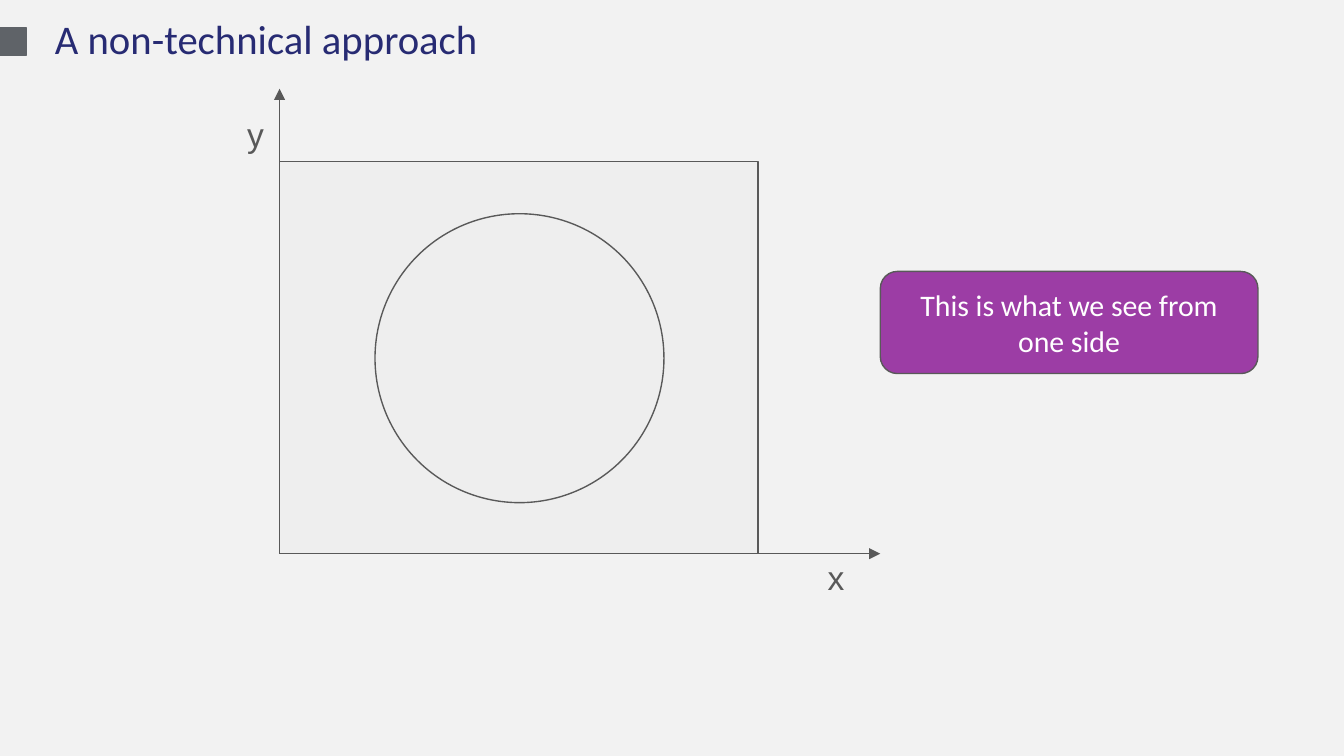
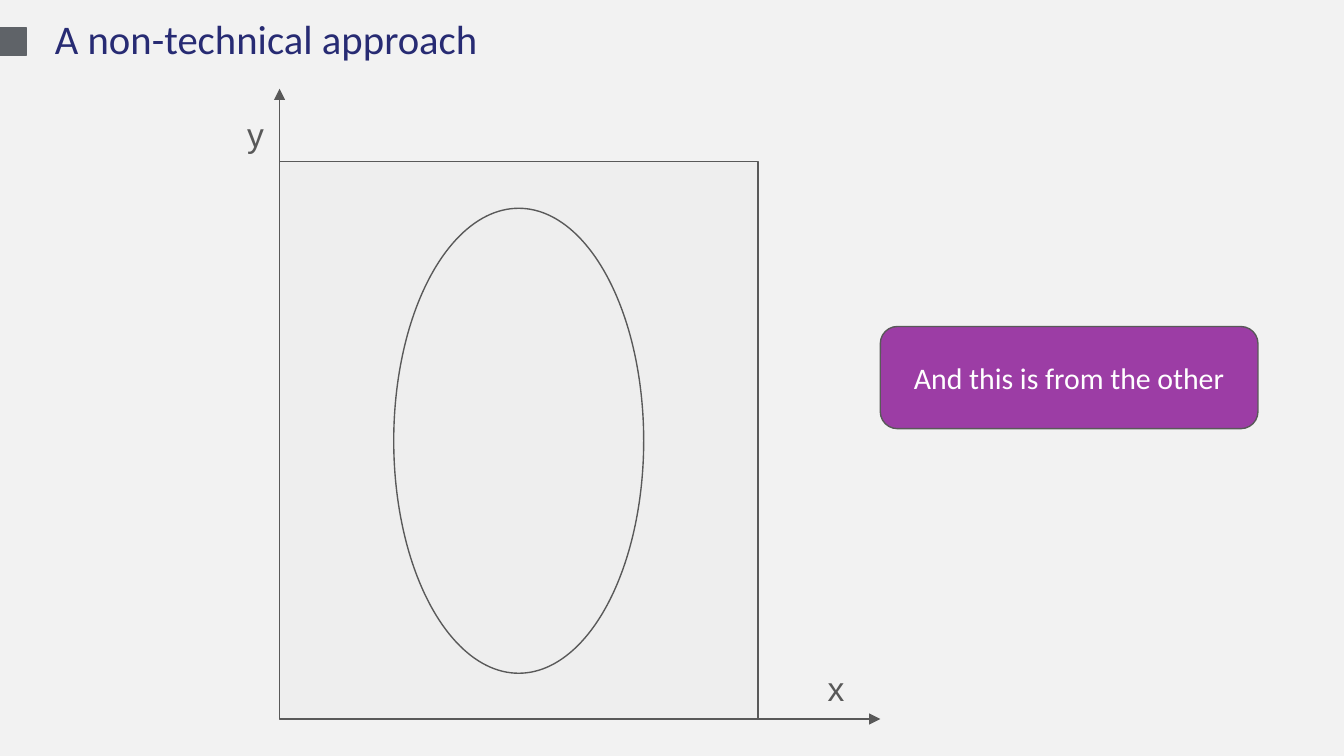
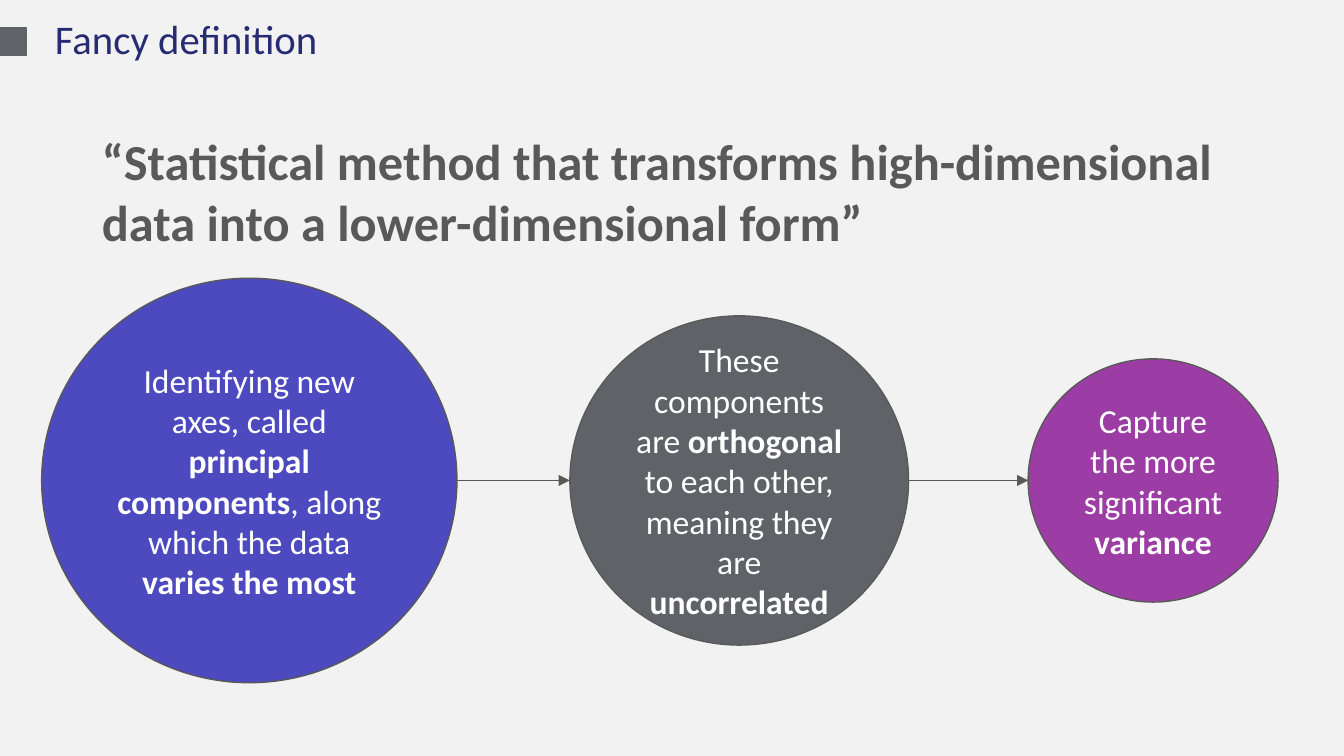
import pptx
import pptx.util
import pptx.dml.color
import pptx.enum.shapes
import pptx.enum.text
import pptx.oxml.ns
from lxml import etree

Inches = pptx.util.Inches
RGBColor = pptx.dml.color.RGBColor
SHAPE = pptx.enum.shapes.MSO_SHAPE
ANCHOR = pptx.enum.text.MSO_ANCHOR
ALIGN = pptx.enum.text.PP_ALIGN
qn = pptx.oxml.ns.qn

# Colours
BACKGROUND = RGBColor(0xF2, 0xF2, 0xF2)
PANEL = RGBColor(0xEE, 0xEE, 0xEE)
INK = RGBColor(0x59, 0x59, 0x59)
SLATE = RGBColor(0x5F, 0x63, 0x68)
NAVY = RGBColor(0x27, 0x2B, 0x73)
INDIGO = RGBColor(0x4D, 0x49, 0xBF)
PURPLE = RGBColor(0x9C, 0x3D, 0xA5)
WHITE = RGBColor(0xFF, 0xFF, 0xFF)

# Text formats
TITLE = {"name": "Calibri", "size": pptx.util.Pt(21.8), "bold": False}
AXIS_LABEL = {"name": "Arial", "size": pptx.util.Pt(18), "bold": False}
CALLOUT = {"name": "Calibri", "size": pptx.util.Pt(16), "bold": False}
QUOTE = {"name": "Calibri", "size": pptx.util.Pt(27), "bold": True}
STEP = {"name": "Calibri", "size": pptx.util.Pt(18), "bold": False}

# Axes shared by both views
ORIGIN_X, AXIS_TOP, AXIS_RIGHT = 2.08, 0.66, 6.55
FACE_TOP, FACE_WIDTH = 1.2, 3.56

# Steps of the definition: left, width, height, fill, text (every second part bold)
STEPS = [
    (0.31, 3.09, 3.01, INDIGO,
     ["Identifying new axes, called ", "principal components",
      ", along which the data ", "varies the most"]),
    (4.24, 2.52, 2.45, SLATE,
     ["These components are ", "orthogonal ",
      "to each other, meaning they are ", "uncorrelated"]),
    (7.65, 1.86, 1.81, PURPLE,
     ["Capture the more significant ", "variance"]),
]
FIRST_STEP_TOP = 2.07
STEP_CENTRE_Y = FIRST_STEP_TOP + STEPS[0][2] / 2


def write(shape, parts, text_format, color, align=ALIGN.LEFT, anchor=ANCHOR.TOP):
    """Fill a shape with one paragraph whose bold state flips at each part."""
    frame = shape.text_frame
    frame_format = {"word_wrap": True, "vertical_anchor": anchor}
    for side in ("left", "top", "right", "bottom"):
        frame_format["margin_" + side] = Inches(0.1)
    for key, value in frame_format.items():
        setattr(frame, key, value)
    paragraph = frame.paragraphs[0]
    paragraph.alignment = align
    for index, part in enumerate(parts):
        run = paragraph.add_run()
        run.text = part
        for key, value in text_format.items():
            setattr(run.font, key, value)
        run.font.bold = text_format["bold"] != (index % 2 == 1)
        run.font.color.rgb = color


def add_text(slide, box, text, text_format, color):
    holder = slide.shapes.add_textbox(*map(Inches, box))
    write(holder, [text], text_format, color)


def add_figure(slide, kind, box, fill, line=INK):
    figure = slide.shapes.add_shape(kind, *map(Inches, box))
    figure.shadow.inherit = False
    figure.fill.solid()
    figure.fill.fore_color.rgb = fill
    figure.line.color.rgb = line
    figure.line.width = pptx.util.Pt(0.75)
    return figure


def add_arrow(slide, start, end):
    arrow = slide.shapes.add_connector(
        pptx.enum.shapes.MSO_CONNECTOR.STRAIGHT, *map(Inches, start + end))
    arrow.line.color.rgb = INK
    arrow.line.width = pptx.util.Pt(0.75)
    properties = arrow.element.spPr
    etree.SubElement(properties.find(qn("a:ln")), qn("a:tailEnd"), type="triangle")
    etree.SubElement(properties, qn("a:effectLst"))


def add_slide(deck, title):
    slide = deck.slides.add_slide(deck.slide_layouts[6])
    slide.background.fill.solid()
    slide.background.fill.fore_color.rgb = BACKGROUND
    add_figure(slide, SHAPE.RECTANGLE, (0, 0.21, 0.2, 0.2), SLATE, SLATE)
    add_text(slide, (0.31, 0, 4.59, 0.63), title, TITLE, NAVY)
    return slide


def add_view(deck, axis_y, outline, x_label_top, callout_top, remark):
    """One side of the object, seen on x and y axes, with a remark."""
    slide = add_slide(deck, "A non-technical approach")
    face = (ORIGIN_X, FACE_TOP, FACE_WIDTH, axis_y - FACE_TOP)
    add_figure(slide, SHAPE.RECTANGLE, face, PANEL)
    add_figure(slide, SHAPE.OVAL, outline, PANEL)
    add_arrow(slide, (ORIGIN_X, axis_y), (ORIGIN_X, AXIS_TOP))
    add_arrow(slide, (ORIGIN_X, axis_y), (AXIS_RIGHT, axis_y))
    add_text(slide, (1.74, 0.75, 0.35, 0.32), "y", AXIS_LABEL, INK)
    add_text(slide, (6.06, x_label_top, 0.35, 0.32), "x", AXIS_LABEL, INK)
    callout = add_figure(slide, SHAPE.ROUNDED_RECTANGLE,
                         (AXIS_RIGHT, callout_top, 2.81, 0.76), PURPLE)
    write(callout, [remark], CALLOUT, WHITE, ALIGN.CENTER, ANCHOR.MIDDLE)


def add_definition(deck):
    """The quoted definition above a chain of shrinking steps."""
    slide = add_slide(deck, "Fancy definition")
    add_text(slide, (0.66, 0.87, 8.68, 1.2),
             "“Statistical method that transforms high-dimensional "
             "data into a lower-dimensional form”", QUOTE, INK)
    previous_right = None
    for left, width, height, fill, parts in STEPS:
        box = (left, STEP_CENTRE_Y - height / 2, width, height)
        step = add_figure(slide, SHAPE.OVAL, box, fill)
        write(step, parts, STEP, WHITE, ALIGN.CENTER, ANCHOR.MIDDLE)
        if previous_right is not None:
            add_arrow(slide, (previous_right, STEP_CENTRE_Y), (left, STEP_CENTRE_Y))
        previous_right = left + width


def main():
    deck = pptx.Presentation()
    deck.slide_width = Inches(10)
    deck.slide_height = Inches(10 * 9 / 16)
    add_view(deck, 4.12, (2.79, 1.59, 2.15, 2.15), 4.04, 2.02,
             "This is what we see from one side")
    add_view(deck, 5.35, (2.93, 1.55, 1.86, 3.46), 4.87, 2.43,
             "And this is from the other")
    add_definition(deck)
    deck.save("out.pptx")


if __name__ == "__main__":
    main()
